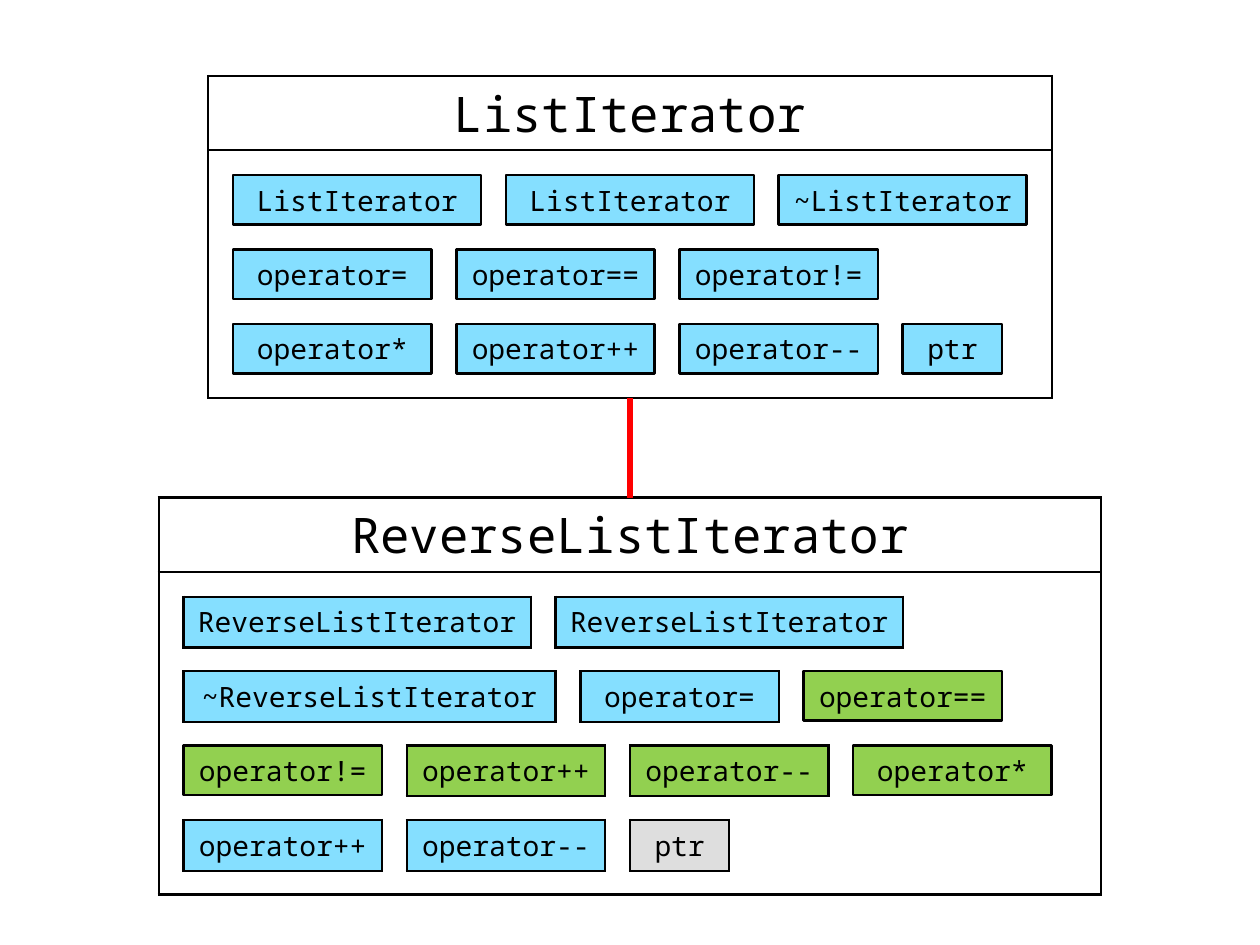
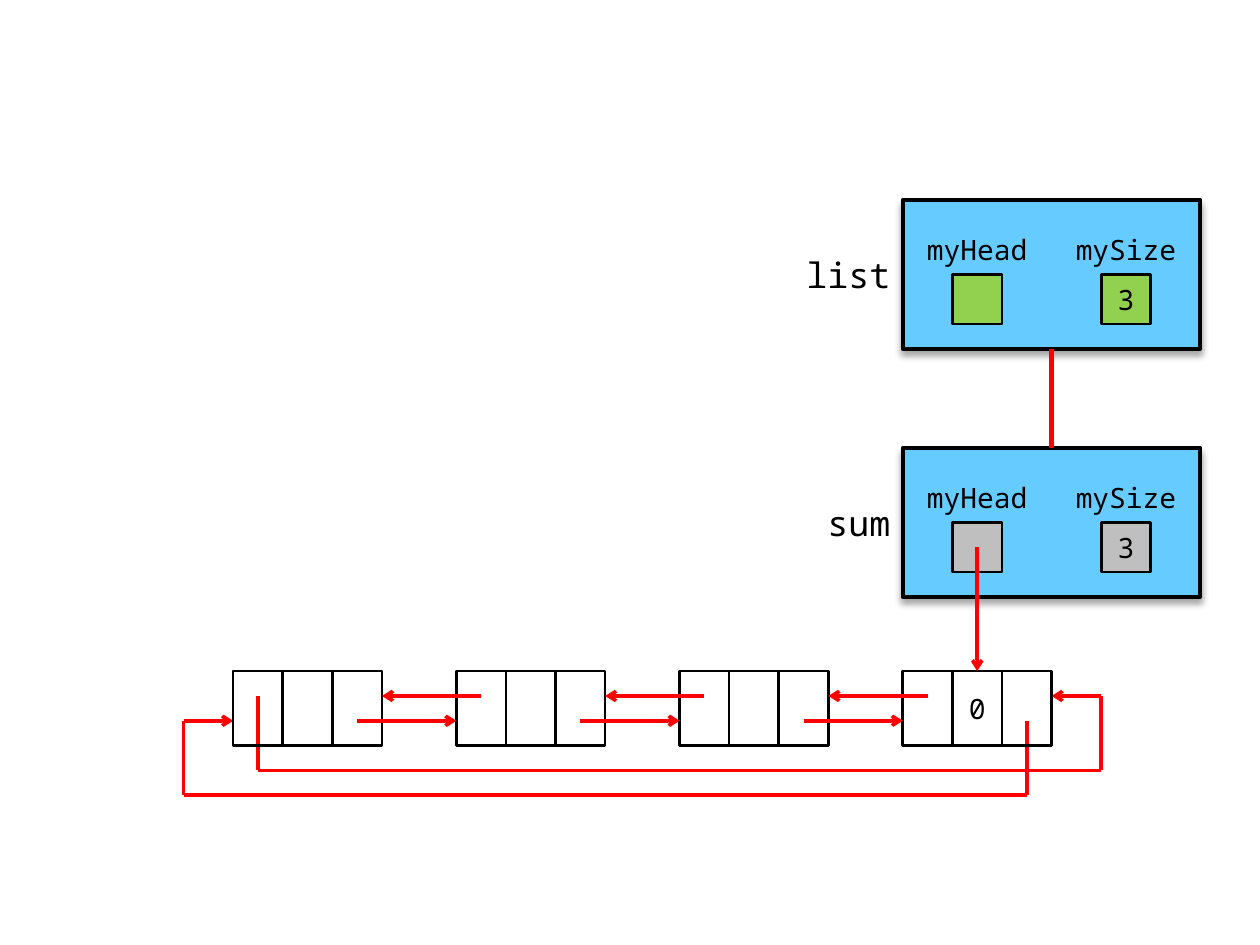
import itertools

import pptx
import pptx.dml.color
import pptx.enum.shapes
import pptx.enum.text
import pptx.util
from lxml import etree
from pptx.oxml.ns import qn

SHAPE = pptx.enum.shapes.MSO_SHAPE
ALIGN = pptx.enum.text.PP_ALIGN
MIDDLE = pptx.enum.text.MSO_ANCHOR.MIDDLE

FONT = "Noto Sans Mono"
BLACK, WHITE, RED = "000000", "FFFFFF", "FF0000"
BLUE, GREEN, GREY, OBJECT_BLUE = "85DFFF", "92D050", "BFBFBF", "66CCFF"

# All positions are columns and rows of a half-centimetre grid
# that passes through the middle of the slide.
STEP = 0.5
LEFT, TOP = 0.2, 0.03

# Members: (name, columns, fill, drawn as a table)
CLASSES = [
    {"name": "ListIterator", "at": (8, 3), "columns": 34, "rows": (3, 10),
     "members": [
         [("ListIterator", 10, BLUE, False), ("ListIterator", 10, BLUE, False),
          ("~ListIterator", 10, BLUE, False)],
         [("operator=", 8, BLUE, False), ("operator==", 8, BLUE, False),
          ("operator!=", 8, BLUE, False)],
         [("operator*", 8, BLUE, False), ("operator++", 8, BLUE, False),
          ("operator--", 8, BLUE, False), ("ptr", 4, BLUE, False)],
     ]},
    {"name": "ReverseListIterator", "at": (6, 20), "columns": 38, "rows": (3, 13),
     "members": [
         [("ReverseListIterator", 14, BLUE, True),
          ("ReverseListIterator", 14, BLUE, True)],
         [("~ReverseListIterator", 15, BLUE, True), ("operator=", 8, BLUE, True),
          ("operator==", 8, GREEN, False)],
         [("operator!=", 8, GREEN, False), ("operator++", 8, GREEN, True),
          ("operator--", 8, GREEN, True), ("operator*", 8, GREEN, False)],
         [("operator++", 8, BLUE, True), ("operator--", 8, BLUE, True),
          ("ptr", 4, GREY, True)],
     ]},
]
INHERITANCE = [(25, 20), (25, 16)]

# Objects: (name, row, columns of the name, fill of the fields)
OBJECTS = [("list", 8, 5, GREEN), ("sum", 18, 4, GREY)]
FIELDS = [("myHead", ""), ("mySize", "3")]
OBJECT_COLUMN = 36
NODES = ["", "", "", "0"]
NODE_COLUMN, NODE_ROW, NODE_PITCH = 9, 27, 9
LOOPS = [
    [(10, 28), (10, 31), (44, 31), (44, 28), (42, 28)],
    [(41, 29), (41, 32), (7, 32), (7, 29), (9, 29)],
]


def rgb(hex_text):
    return pptx.dml.color.RGBColor.from_string(hex_text)


def size(steps):
    return pptx.util.Cm(steps * STEP)


def place(column, row):
    return size(column) + pptx.util.Cm(LEFT), size(row) + pptx.util.Cm(TOP)


def write(frame, text, points=16, align=ALIGN.CENTER):
    paragraph = frame.paragraphs[0]
    paragraph.text = text
    paragraph.alignment = align
    paragraph.font.name = FONT
    paragraph.font.size = pptx.util.Pt(points)
    paragraph.font.color.rgb = rgb(BLACK)


def add_box(slide, at, columns, rows, text="", fill=None, line=1.5, kind=SHAPE.RECTANGLE):
    box = slide.shapes.add_shape(kind, *place(*at), size(columns), size(rows))
    box.shadow.inherit = False
    if fill:
        box.fill.solid()
        box.fill.fore_color.rgb = rgb(fill)
    else:
        box.fill.background()
    if line:
        box.line.color.rgb = rgb(BLACK)
        box.line.width = pptx.util.Pt(line)
    else:
        box.line.fill.background()
    if text:
        frame = box.text_frame
        frame.vertical_anchor = MIDDLE
        frame.margin_left = frame.margin_right = pptx.util.Inches(0.04)
        frame.margin_top = frame.margin_bottom = pptx.util.Inches(0.04)
        write(frame, text)
    return box


def add_border(cell):
    properties = cell._tc.get_or_add_tcPr()
    for index, side in enumerate(("lnL", "lnR", "lnT", "lnB")):
        line = etree.Element(qn(f"a:{side}"), w=str(pptx.util.Pt(1.5)))
        fill = etree.SubElement(line, qn("a:solidFill"))
        etree.SubElement(fill, qn("a:srgbClr"), val=BLACK)
        properties.insert(index, line)


def add_column_table(slide, at, columns, rows, fill):
    """Add a one-column table whose rows have the given heights."""
    table = slide.shapes.add_table(
        len(rows), 1, *place(*at), size(columns), size(sum(rows))).table
    table.first_row = table.horz_banding = False
    for index, height in enumerate(rows):
        table.rows[index].height = size(height)
        cell = table.cell(index, 0)
        cell.vertical_anchor = MIDDLE
        cell.fill.solid()
        cell.fill.fore_color.rgb = rgb(fill)
        if fill == GREY:
            color = cell._tc.tcPr.find(".//" + qn("a:srgbClr"))
            etree.SubElement(color, qn("a:alpha"), val="50000")
        add_border(cell)
    return table


def add_line(slide, start, end, width=2, arrow=False):
    line = slide.shapes.add_connector(
        pptx.enum.shapes.MSO_CONNECTOR.STRAIGHT, *place(*start), *place(*end))
    line.line.color.rgb = rgb(RED)
    line.line.width = pptx.util.Pt(width)
    properties = line._element.spPr
    if arrow:
        etree.SubElement(properties.find(qn("a:ln")), qn("a:tailEnd"), type="arrow")
    etree.SubElement(properties, qn("a:effectLst"))
    return line


def add_class(slide, content):
    column, row = content["at"]
    table = add_column_table(slide, content["at"], content["columns"], content["rows"], WHITE)
    header = table.cell(0, 0)
    header.margin_top = header.margin_bottom = 0
    write(header.text_frame, content["name"], 28)
    for index, members in enumerate(content["members"]):
        member_column, member_row = column + 1, row + 4 + 3 * index
        for name, columns, fill, as_table in members:
            at = member_column, member_row
            if as_table:
                member = add_column_table(slide, at, columns, [2], fill)
                write(member.cell(0, 0).text_frame, name)
            else:
                add_box(slide, at, columns, 2, name, fill)
            member_column += columns + 1


def add_drop_shadow(box):
    effects = box._element.spPr.find(qn("a:effectLst"))
    shadow = etree.SubElement(
        effects, qn("a:outerShdw"), blurRad=str(pptx.util.Pt(4)),
        dist=str(pptx.util.Pt(3)), dir="5400000", rotWithShape="0")
    color = etree.SubElement(shadow, qn("a:srgbClr"), val=BLACK)
    etree.SubElement(color, qn("a:alpha"), val="35000")


def add_object(slide, name, row, name_columns, fill):
    body = add_box(slide, (OBJECT_COLUMN, row), 12, 6, fill=OBJECT_BLUE, line=2.25,
                   kind=SHAPE.FLOWCHART_PROCESS)
    add_drop_shadow(body)
    for index, (field, value) in enumerate(FIELDS):
        column = OBJECT_COLUMN + 6 * index
        add_box(slide, (column, row + 1), 6, 2, field, line=None,
                kind=SHAPE.FLOWCHART_PROCESS)
        add_box(slide, (column + 2, row + 3), 2, 2, value, fill)
    label = slide.shapes.add_textbox(
        *place(OBJECT_COLUMN - name_columns, row + 1), size(name_columns), size(4))
    frame = label.text_frame
    frame.word_wrap = True
    frame.vertical_anchor = MIDDLE
    frame.margin_top = frame.margin_bottom = 0
    write(frame, name, 20, ALIGN.RIGHT)
    return body


def add_node(slide, column, value):
    """Add the three cells of a node and return the middle one."""
    cells = [add_box(slide, (column + 2 * index, NODE_ROW), 2, 3, text)
             for index, text in enumerate(("", value, ""))]
    return cells[1]


def build_classes(slide):
    for content in CLASSES:
        add_class(slide, content)
    add_line(slide, *INHERITANCE, width=3)


def build_linked_list(slide):
    for loop in LOOPS:
        for start, end in itertools.pairwise(loop):
            add_line(slide, start, end, arrow=end == loop[-1])

    columns = [NODE_COLUMN + NODE_PITCH * index for index in range(len(NODES))]
    values = [add_node(slide, column, value) for column, value in zip(columns, NODES)]
    for left, right in itertools.pairwise(columns):
        add_line(slide, (right + 1, NODE_ROW + 1), (left + 6, NODE_ROW + 1), arrow=True)
        add_line(slide, (left + 5, NODE_ROW + 2), (right, NODE_ROW + 2), arrow=True)

    base, derived = [add_object(slide, *content) for content in OBJECTS]
    inheritance = add_line(slide, (42, 14), (42, 18), width=3)
    inheritance.begin_connect(base, 2)
    inheritance.end_connect(derived, 0)
    head = add_line(slide, (39, 22), (39, NODE_ROW), arrow=True)
    head.end_connect(values[-1], 0)


def main():
    deck = pptx.Presentation()
    deck.slide_width = pptx.util.Inches(10)
    deck.slide_height = pptx.util.Inches(7.5)
    blank = deck.slide_layouts[6]
    for build in (build_classes, build_linked_list):
        build(deck.slides.add_slide(blank))
    deck.save("out.pptx")


if __name__ == "__main__":
    main()
